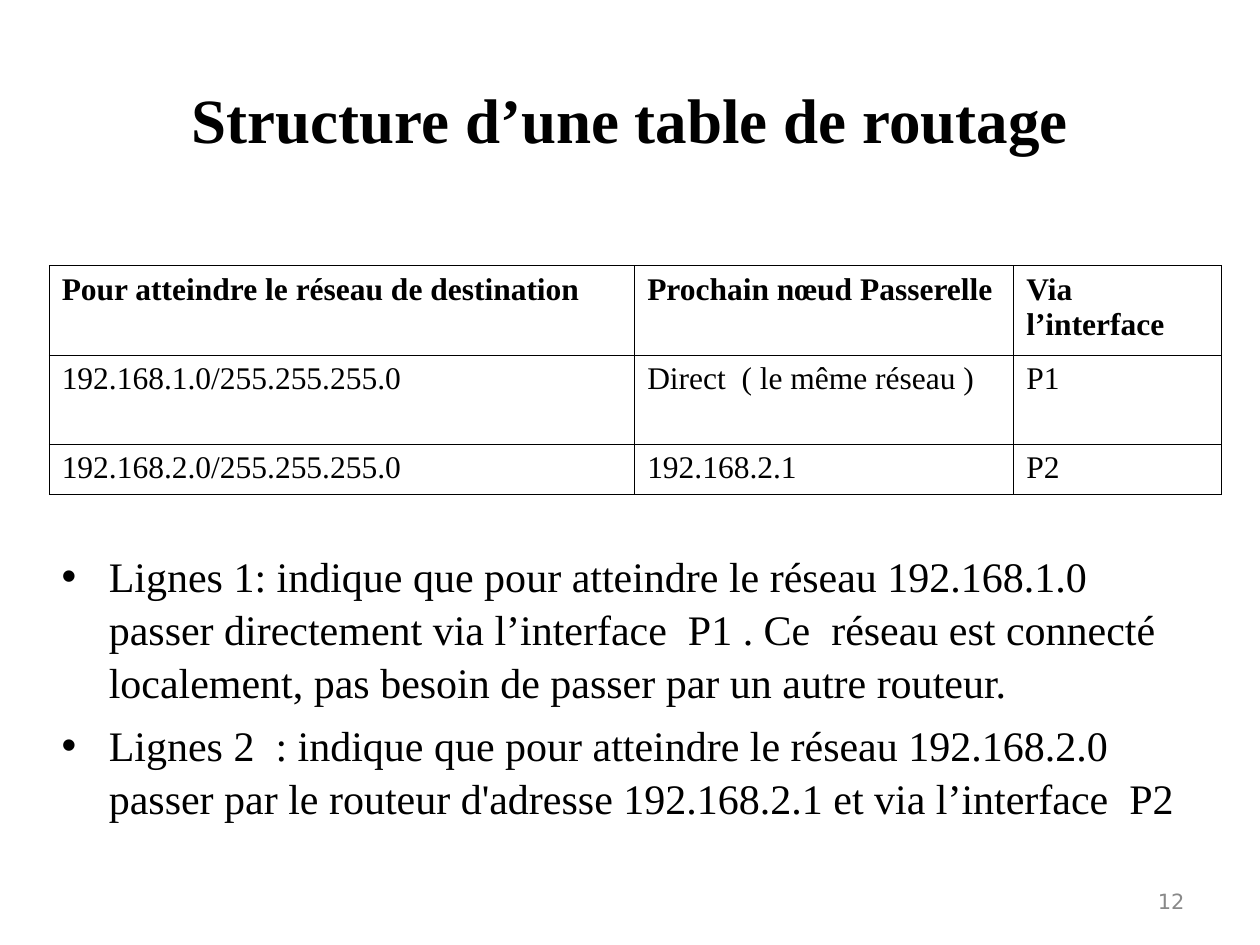
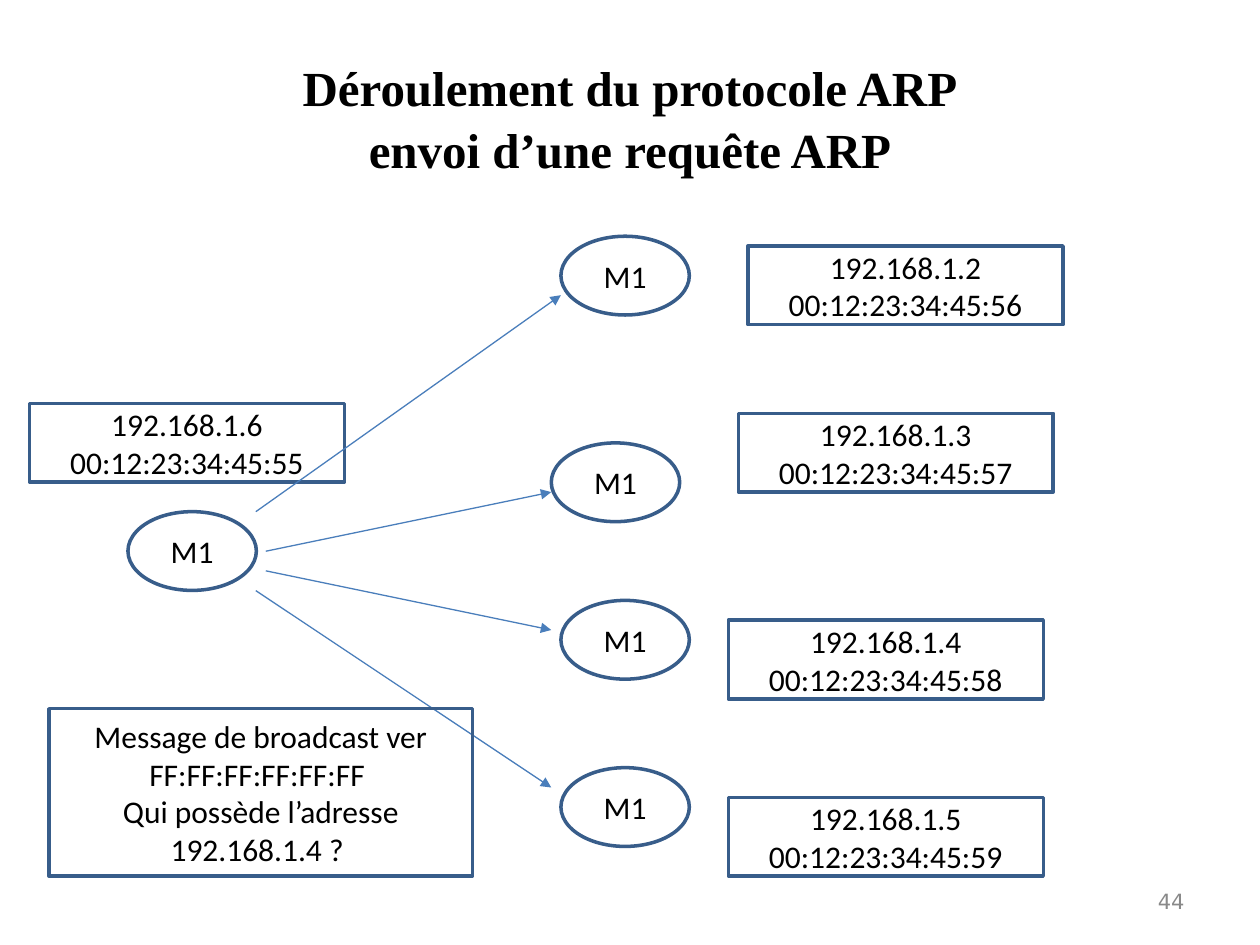
"""Two lecture slides: a routing table and the broadcast of an ARP request."""
from lxml.etree import SubElement
from pptx import Presentation
from pptx.dml.color import RGBColor
from pptx.enum.shapes import MSO_CONNECTOR, MSO_SHAPE
from pptx.enum.text import MSO_ANCHOR, PP_ALIGN
from pptx.oxml.ns import qn
from pptx.util import Pt

BLACK = RGBColor(0x00, 0x00, 0x00)
WHITE = RGBColor(0xFF, 0xFF, 0xFF)
GREY = RGBColor(0x89, 0x89, 0x89)
OUTLINE = RGBColor(0x38, 0x5D, 0x8A)
ARROW = RGBColor(0x4A, 0x7E, 0xBB)
SERIF, SANS, NUMBER = "Times New Roman", "Calibri", "DejaVu Sans"
NODE_SIZE = (73.4, 45)
LABEL_SIZE = (180, 45)


class Deck:
    def __init__(self):
        self.prs = Presentation()
        self.prs.slide_width, self.prs.slide_height = Pt(720), Pt(540)
        self.s = None

    def slide(self, title, size, number):
        self.s = self.prs.slides.add_slide(self.prs.slide_layouts[6])
        self.textbox((36, 21.6, 648, 90), [title], size, SERIF, bold=True,
                     align=PP_ALIGN.CENTER, spacing=1.05)
        self.textbox((516, 500.4, 168, 28.8), [str(number)], 12, NUMBER,
                     color=GREY, align=PP_ALIGN.RIGHT)

    def add_text(self, tf, paragraphs, size, font, color=BLACK, bold=False,
                 align=PP_ALIGN.LEFT, spacing=None):
        tf.word_wrap = True
        for i, lines in enumerate(paragraphs):
            p = tf.paragraphs[0] if i == 0 else tf.add_paragraph()
            p.alignment = align
            p.line_spacing = spacing
            for j, line in enumerate(lines.split("\n")):
                if j:
                    p.add_line_break()
                r = p.add_run()
                r.text = line
                r.font.size, r.font.name, r.font.bold = Pt(size), font, bold
                r.font.color.rgb = color

    def textbox(self, box, paragraphs, size, font, anchor=MSO_ANCHOR.MIDDLE, **style):
        tf = self.s.shapes.add_textbox(*map(Pt, box)).text_frame
        tf.vertical_anchor = anchor
        self.add_text(tf, paragraphs, size, font, **style)
        return tf

    def bullets(self, box, items):
        tf = self.textbox(box, items, 24, SERIF, anchor=MSO_ANCHOR.TOP, spacing=1.05)
        for p in tf.paragraphs:
            p.space_before = Pt(6)
            pPr = p._p.get_or_add_pPr()
            pPr.set("marL", str(Pt(27)))
            pPr.set("indent", str(-Pt(27)))
            SubElement(pPr, qn("a:buFont"), typeface="Arial")
            SubElement(pPr, qn("a:buChar"), char="•")

    def table(self, left, top, widths, heights, rows):
        frame = self.s.shapes.add_table(len(rows), len(widths), Pt(left), Pt(top),
                                        Pt(sum(widths)), Pt(sum(heights)))
        table = frame.table
        for column, width in zip(table.columns, widths):
            column.width = Pt(width)
        for i, (row, height) in enumerate(zip(rows, heights)):
            table.rows[i].height = Pt(height)
            for j, text in enumerate(row):
                cell = table.cell(i, j)
                self.add_text(cell.text_frame, [text], 18, SERIF, bold=i == 0)
                self.borders(cell)
                cell.fill.solid()
                cell.fill.fore_color.rgb = WHITE

    def borders(self, cell):
        tcPr = cell._tc.get_or_add_tcPr()
        for side in ("lnL", "lnR", "lnT", "lnB"):
            ln = SubElement(tcPr, qn(f"a:{side}"), w=str(Pt(0.45)))
            fill = SubElement(ln, qn("a:solidFill"))
            SubElement(fill, qn("a:srgbClr"), val=str(BLACK))

    def outlined(self, kind, position, size, paragraphs):
        sp = self.s.shapes.add_shape(kind, *map(Pt, position + size))
        sp.shadow.inherit = False
        sp.fill.background()
        sp.line.color.rgb = OUTLINE
        sp.line.width = Pt(2)
        sp.text_frame.vertical_anchor = MSO_ANCHOR.MIDDLE
        self.add_text(sp.text_frame, paragraphs, 18, SANS, align=PP_ALIGN.CENTER)

    def node(self, position):
        self.outlined(MSO_SHAPE.OVAL, position, NODE_SIZE, ["M1"])

    def label(self, position, paragraphs, size=LABEL_SIZE):
        self.outlined(MSO_SHAPE.RECTANGLE, position, size, paragraphs)

    def arrow(self, start, end):
        sp = self.s.shapes.add_connector(MSO_CONNECTOR.STRAIGHT, *map(Pt, start + end))
        sp.line.color.rgb = ARROW
        sp.line.width = Pt(0.75)
        spPr = sp._element.spPr
        SubElement(spPr.find(qn("a:ln")), qn("a:tailEnd"), type="triangle")
        SubElement(spPr, qn("a:effectLst"))


def routing_table(deck):
    deck.slide("Structure d’une table de routage", 36, 12)
    deck.bullets((28.1, 309.6, 652.3, 180), [
        "Lignes 1: indique que pour atteindre le réseau 192.168.1.0  passer directement "
        "via l’interface  P1 . Ce  réseau est connecté localement, pas besoin de passer "
        "par un autre routeur.",
        "Lignes 2  : indique que pour atteindre le réseau 192.168.2.0 passer par le "
        "routeur d'adresse 192.168.2.1 et via l’interface  P2",
    ])
    deck.table(28.1, 151.9, (334.6, 216.6, 118.4), (50.9, 50.9, 28.6), [
        ("Pour atteindre le réseau de destination ", "Prochain nœud Passerelle ",
         "Via l’interface "),
        ("192.168.1.0/255.255.255.0", "Direct  ( le même réseau )", "P1"),
        ("192.168.2.0/255.255.255.0", "192.168.2.1 ", "P2"),
    ])


def arp_request(deck):
    deck.slide("Déroulement du protocole ARP\nenvoi d’une requête ARP", 28, 44)
    deck.node((73.1, 292.4))
    deck.label((16.9, 230.5), ["192.168.1.6", "00:12:23:34:45:55"])
    hosts = [
        ((320.5, 135), (427.5, 140.6), (146.2, 292.4), (320.5, 168.7)),
        ((315, 253.1), (421.9, 236.2), (151.9, 315), (315, 281.2)),
        ((320.5, 343.1), (416.2, 354.4), (151.9, 326.2), (315, 360)),
        ((320.5, 438.7), (416.2, 455.6), (146.2, 337.5), (315, 450)),
    ]
    for i, (node, label, start, end) in enumerate(hosts):
        deck.node(node)
        deck.arrow(start, end)
        deck.label(label, [f"192.168.1.{i + 2}", f"00:12:23:34:45:{i + 56}"])
    deck.label((28.1, 405), ["Message de broadcast ver FF:FF:FF:FF:FF:FF ",
                             "Qui possède l’adresse 192.168.1.4 ? "], (241.9, 95.7))


deck = Deck()
routing_table(deck)
arp_request(deck)
deck.prs.save("out.pptx")
